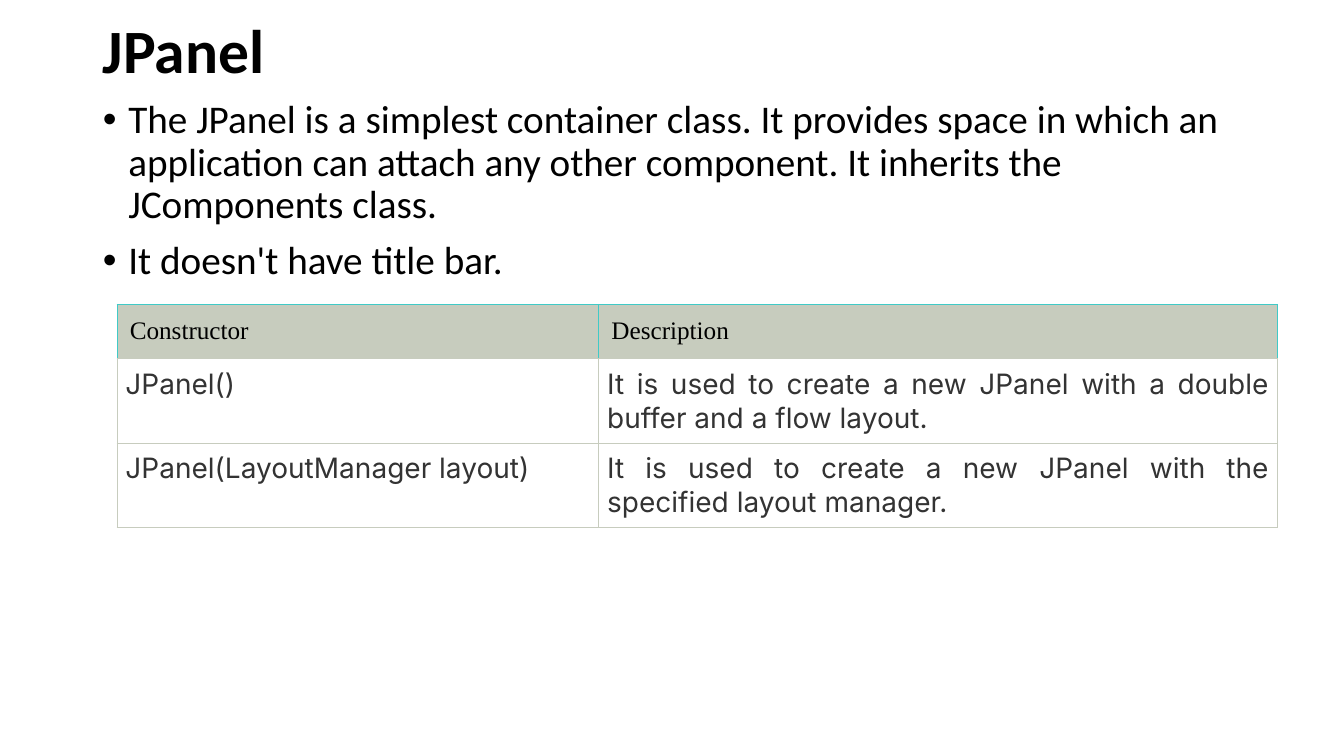
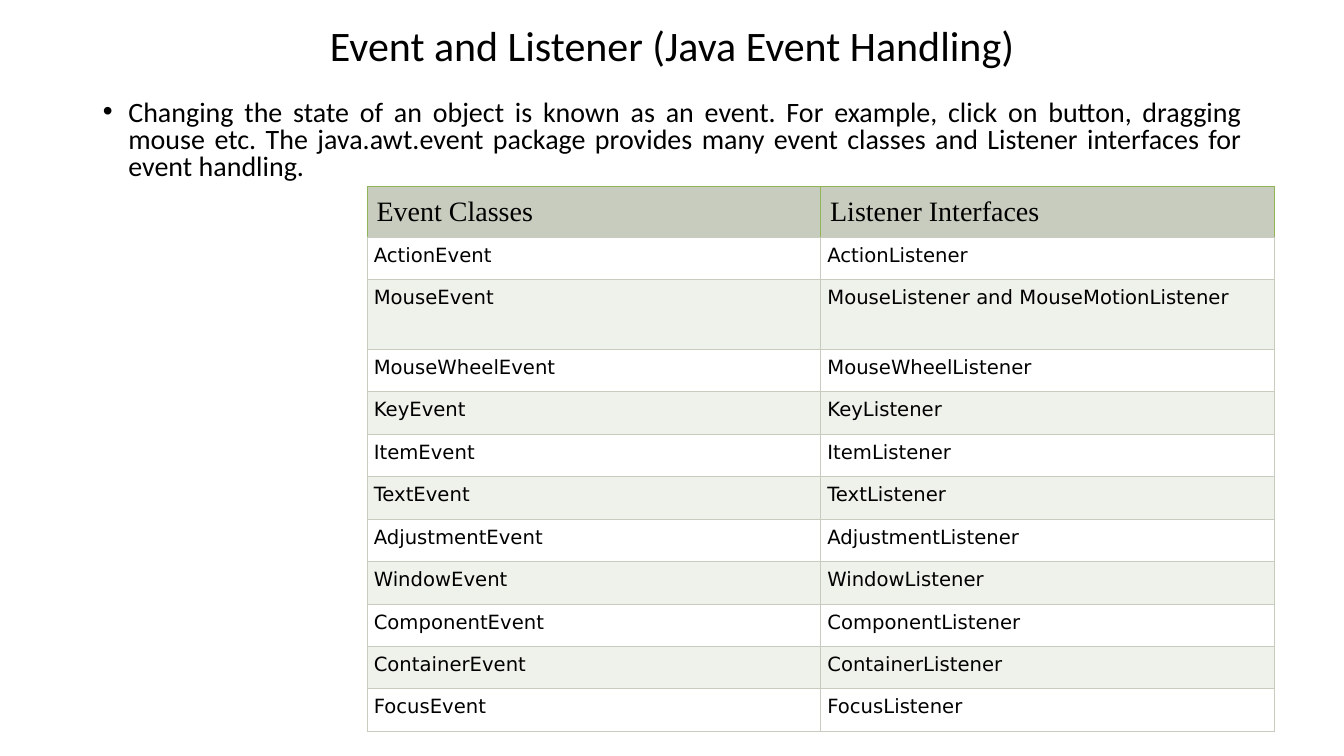
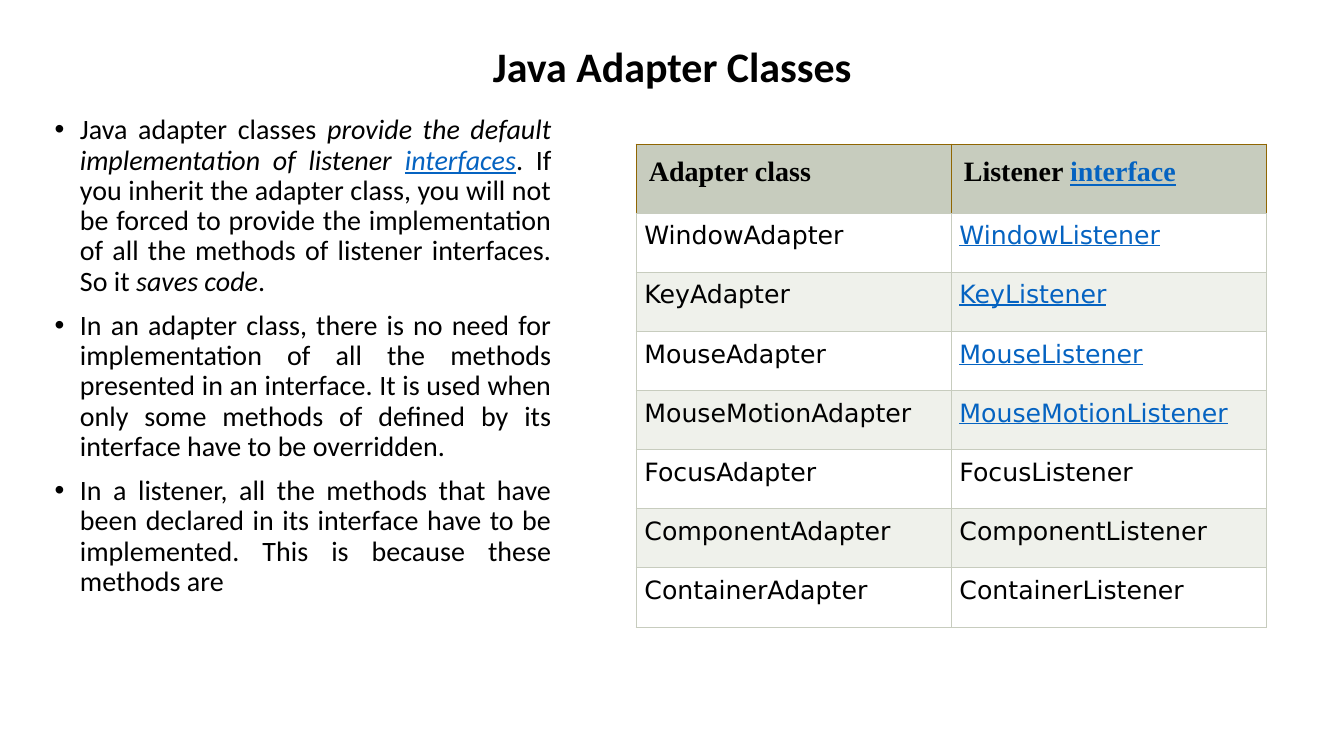
from lxml import etree
from pptx import Presentation
from pptx.dml.color import RGBColor
from pptx.enum.text import MSO_ANCHOR, MSO_AUTO_SIZE, PP_ALIGN
from pptx.oxml.ns import qn
from pptx.util import Cm, Pt

LEFT, CENTER, JUSTIFY = PP_ALIGN.LEFT, PP_ALIGN.CENTER, PP_ALIGN.JUSTIFY
MIDDLE, TOP = MSO_ANCHOR.MIDDLE, MSO_ANCHOR.TOP
NO_FIT = MSO_AUTO_SIZE.NONE

COLORS = {
    "text": "000000", "gray": "333333", "link": "0563C1", "white": "FFFFFF",
    "head": "C7CCBE", "band": "EFF1EB",
    "teal": "40CAC7", "green": "90B558", "brown": "906602",
}
MAIN, HEAD = "Calibri", "Times New Roman"
PAGE_LEFT, PAGE_WIDTH = 2.34, 29.21


def rgb(name):
    return RGBColor.from_string(COLORS[name])


class Deck:
    """Holds the presentation, its style and the current slide."""

    def __init__(self):
        self.prs = Presentation()
        self.prs.slide_width, self.prs.slide_height = Cm(33.87), Cm(19.05)
        self.s = None

    def slide(self):
        self.s = self.prs.slides.add_slide(self.prs.slide_layouts[1])

    def add_runs(self, p, content, size, font=MAIN, color="text", bold=False):
        """Fill a paragraph from a string or from (text, style) pieces."""
        if isinstance(content, str):
            content = [(content, "")]
        for text, style in content:
            r = p.add_run()
            r.text = text
            r.font.name, r.font.size, r.font.bold = font, Pt(size), bold
            r.font.italic = "italic" in style
            r.font.underline = "link" in style
            r.font.color.rgb = rgb("link" if "link" in style else color)

    def place(self, sp, left, top, width, height, anchor):
        sp.left, sp.top, sp.width, sp.height = map(Cm, (left, top, width, height))
        tf = sp.text_frame
        tf.word_wrap, tf.auto_size, tf.vertical_anchor = True, NO_FIT, anchor
        return tf

    def title(self, text, top, height, size, align=CENTER, bold=False):
        tf = self.place(self.s.shapes.title, PAGE_LEFT, top, PAGE_WIDTH, height, MIDDLE)
        p = tf.paragraphs[0]
        p.alignment, p.line_spacing = align, 0.9
        self.add_runs(p, text, size, bold=bold)

    def bullets(self, items, box, size, align=JUSTIFY, spacing=0.9):
        tf = self.place(self.s.placeholders[1], *box, TOP)
        for i, item in enumerate(items):
            p = tf.add_paragraph() if i else tf.paragraphs[0]
            p.alignment, p.line_spacing, p.space_before = align, spacing, Pt(10)
            pPr = p._p.get_or_add_pPr()
            pPr.set("marL", str(Cm(0.64)))
            pPr.set("indent", str(-Cm(0.64)))
            etree.SubElement(pPr, qn("a:buFont"), typeface="Arial")
            etree.SubElement(pPr, qn("a:buChar"), char="•")
            self.add_runs(p, item, size)

    def borders(self, cell, side_color, bottom_color):
        tcPr = cell._tc.get_or_add_tcPr()
        for side in "LRTB":
            ln = etree.SubElement(tcPr, qn("a:ln" + side), w=str(Pt(0.75)))
            fill = etree.SubElement(ln, qn("a:solidFill"))
            name = bottom_color if side == "B" else side_color
            etree.SubElement(fill, qn("a:srgbClr"), val=COLORS[name])

    def table(self, rows, left, top, cols, heights, edge, head, body,
              insets, align=LEFT, banded=True):
        """head and body are the text styles, insets those of both."""
        frame = self.s.shapes.add_table(len(rows), len(cols), Cm(left), Cm(top),
                                        Cm(sum(cols)), Cm(sum(heights)))
        tbl = frame.table
        tbl.horz_banding = False
        for col, width in zip(tbl.columns, cols):
            col.width = Cm(width)
        for i, (row, height) in enumerate(zip(rows, heights)):
            tbl.rows[i].height = Cm(height)
            fill = "head" if i == 0 else "band" if banded and i % 2 == 0 else "white"
            for j, content in enumerate(row):
                cell = tbl.cell(i, j)
                inset = Cm(insets[min(i, 1)])
                cell.margin_left = cell.margin_right = inset
                cell.margin_top = cell.margin_bottom = inset
                self.borders(cell, "head" if i else edge, "head")
                cell.fill.solid()
                cell.fill.fore_color.rgb = rgb(fill)
                p = cell.text_frame.paragraphs[0]
                p.alignment = align if i else LEFT
                self.add_runs(p, content, **(body if i else head))


def panel_slide(deck):
    deck.slide()
    deck.title("JPanel", 0.33, 2.06, 44, LEFT, bold=True)
    deck.bullets([
        "The JPanel is a simplest container class. It provides space in which an "
        "application can attach any other component. It inherits the JComponents class.",
        "It doesn't have title bar.",
    ], (PAGE_LEFT, 2.39, PAGE_WIDTH, 14.76), 28, LEFT)
    rows = [
        ("Constructor", "Description"),
        ("JPanel()", "It is used to create a new JPanel with a double buffer "
                     "and a flow layout."),
        ("JPanel(LayoutManager layout)", "It is used to create a new JPanel with "
                                         "the specified layout manager."),
    ]
    deck.table(rows, 2.95, 7.67, (12.14, 17.1), (1.37, 2.13, 2.13), "teal",
               dict(size=18, font=HEAD), dict(size=20, font="Inter", color="gray"),
               (0.32, 0.21), JUSTIFY, banded=False)


def event_slide(deck):
    deck.slide()
    deck.title("Event and Listener (Java Event Handling)", 0.41, 1.6, 30)
    deck.bullets([
        "Changing the state of an object is known as an event. For example, click on "
        "button, dragging mouse etc. The java.awt.event package provides many event "
        "classes and Listener interfaces for event handling.",
    ], (PAGE_LEFT, 2.41, PAGE_WIDTH, 2.46), 20, spacing=0.8)
    kinds = ["Action", "Mouse", "MouseWheel", "Key", "Item", "Text", "Adjustment",
             "Window", "Component", "Container", "Focus"]
    rows = [("Event Classes", "Listener Interfaces")]
    rows += [(kind + "Event", kind + "Listener") for kind in kinds]
    rows[2] = ("MouseEvent", "MouseListener and MouseMotionListener")
    heights = [1.28, 1.07, 1.75] + [1.07] * 9
    deck.table(rows, 9.25, 4.7, (11.43, 11.43), heights, "green",
               dict(size=20, font=HEAD), dict(size=14, font="DejaVu Sans"),
               (0.24, 0.17))


def adapter_slide(deck):
    deck.slide()
    deck.title("Java Adapter Classes", 1.02, 1.42, 30, bold=True)
    deck.bullets([
        [("Java adapter classes ", ""),
         ("provide the default implementation of listener ", "italic"),
         ("interfaces", "italic link"),
         (". If you inherit the adapter class, you will not be forced to provide the "
          "implementation of all the methods of listener interfaces. So it ", ""),
         ("saves code", "italic"), (".", "")],
        "In an adapter class, there is no need for implementation of all the methods "
        "presented in an interface. It is used when only some methods of defined by "
        "its interface have to be overridden.",
        "In a listener, all the methods that have been declared in its interface have "
        "to be implemented. This is because these methods are",
    ], (1.12, 2.79, 13.03, 13.36), 20)
    linked = ["Window", "Key", "Mouse", "MouseMotion"]
    plain = ["Focus", "Component", "Container"]
    rows = [("Adapter class", [("Listener ", ""), ("interface", "link")])]
    rows += [(kind + "Adapter", [(kind + "Listener", "link")]) for kind in linked]
    rows += [(kind + "Adapter", kind + "Listener") for kind in plain]
    deck.table(rows, 16.03, 3.63, (7.94, 7.94), [1.74] + [1.49] * 7, "brown",
               dict(size=20, font=HEAD, bold=True), dict(size=18, font="DejaVu Sans"),
               (0.32, 0.21))


def main():
    deck = Deck()
    for build in (panel_slide, event_slide, adapter_slide):
        build(deck)
    deck.prs.save("out.pptx")


if __name__ == "__main__":
    main()
